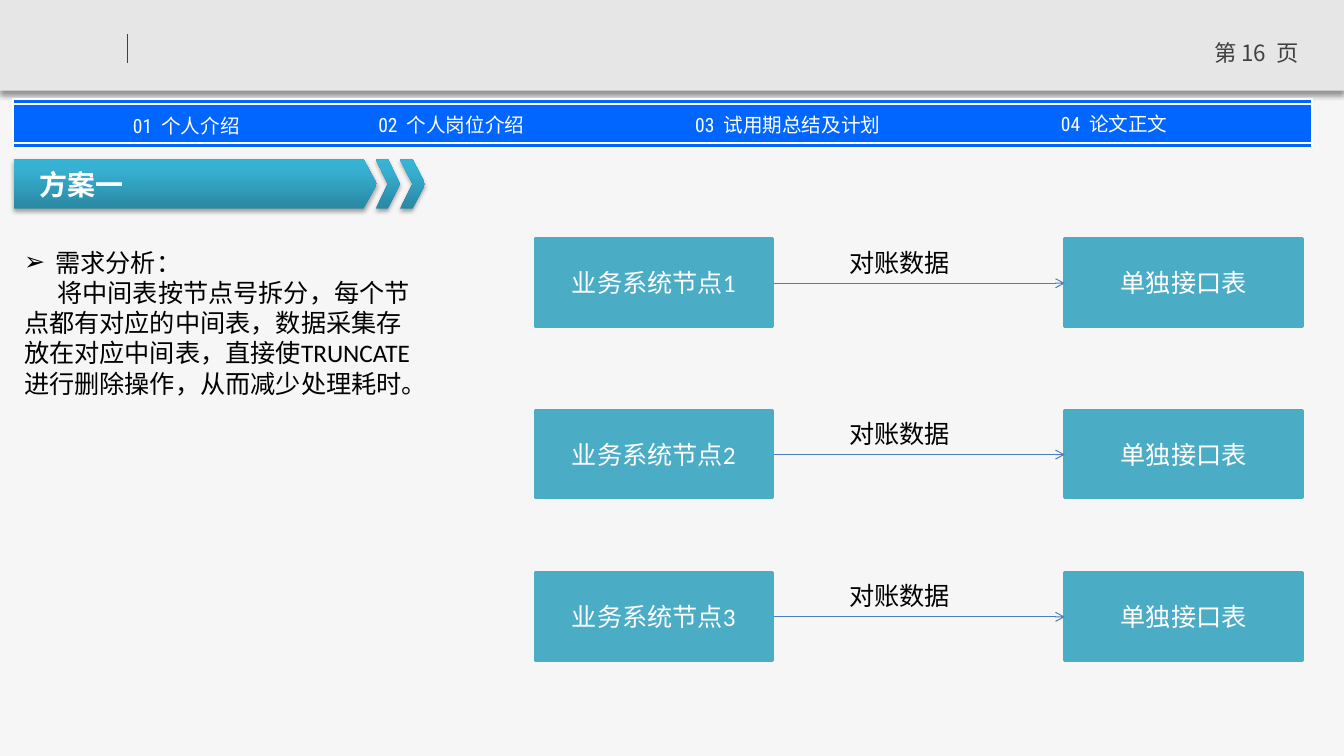
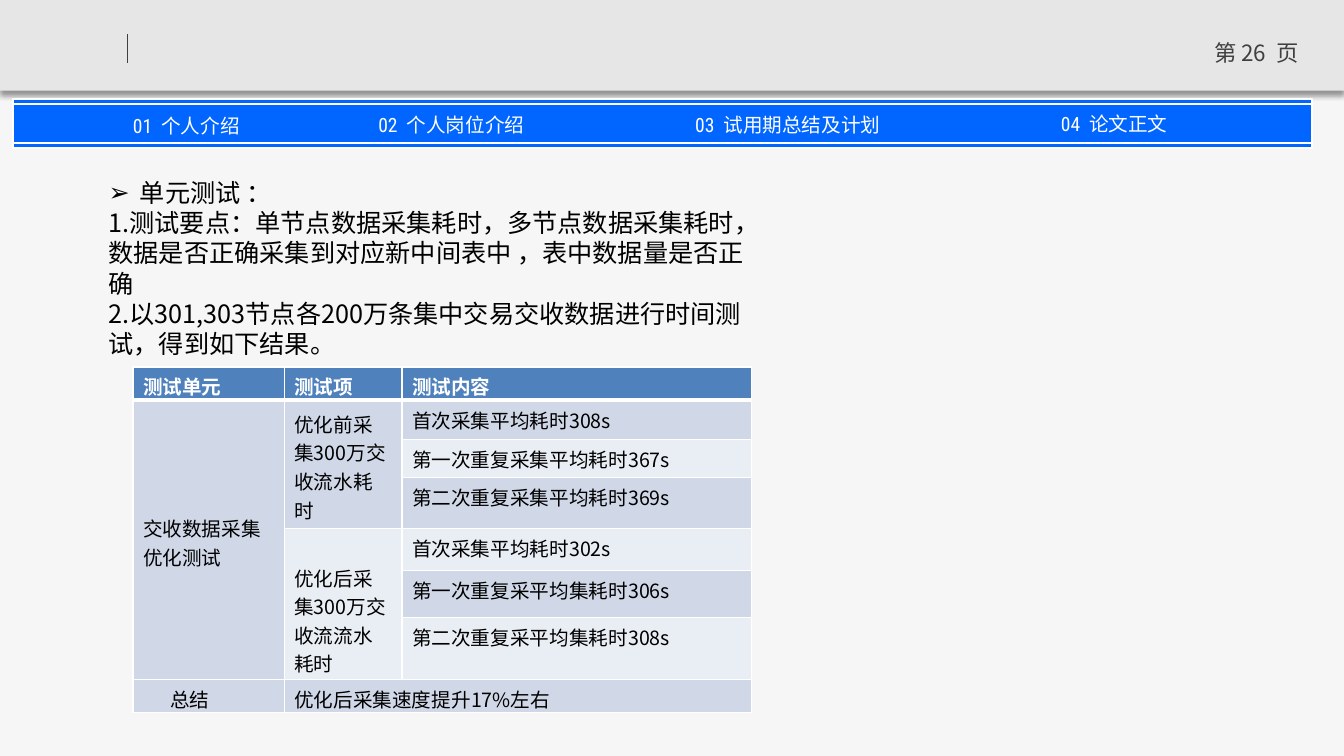
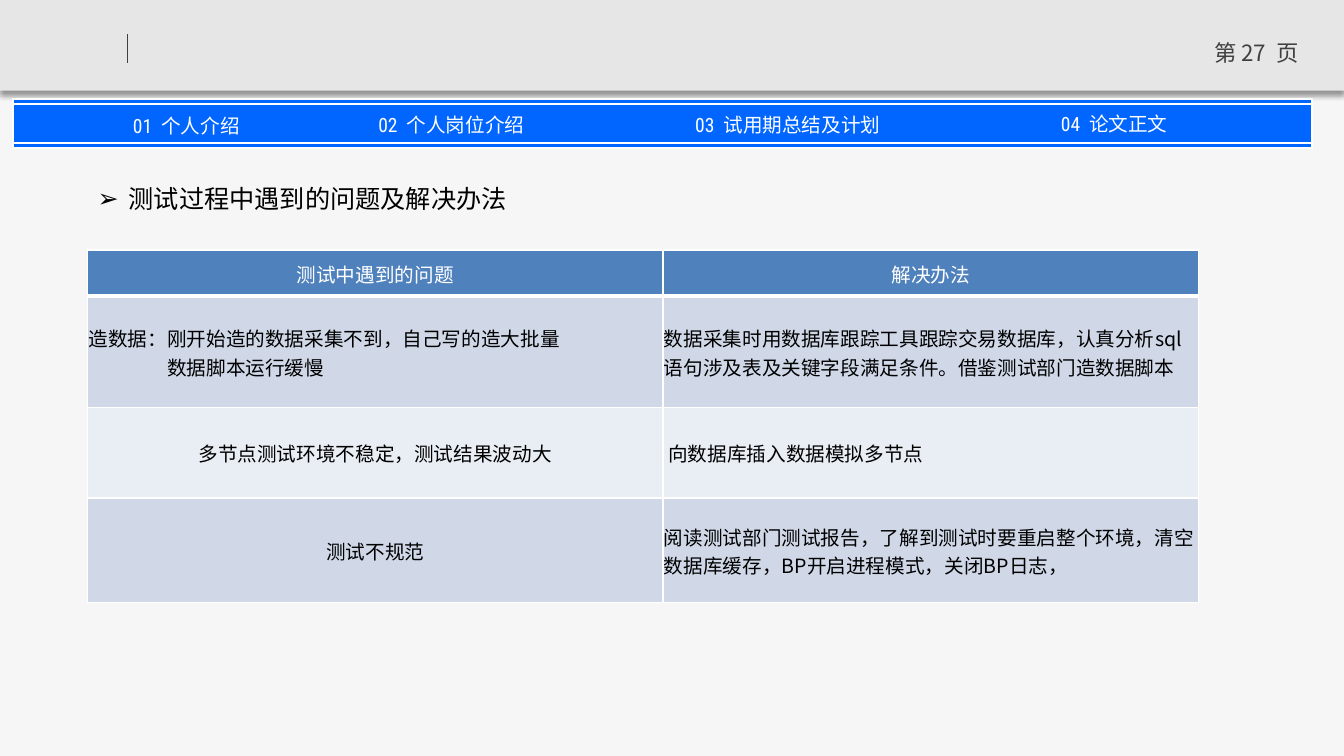
from dataclasses import dataclass
from typing import Any, Optional

from lxml import etree
from pptx import Presentation
from pptx.dml.color import RGBColor
from pptx.enum.shapes import MSO_CONNECTOR, MSO_SHAPE
from pptx.enum.text import MSO_ANCHOR, MSO_AUTO_SIZE, PP_ALIGN
from pptx.oxml.ns import qn
from pptx.util import Emu, Pt

RECT, PLATE, CHEV = MSO_SHAPE.RECTANGLE, MSO_SHAPE.PENTAGON, MSO_SHAPE.CHEVRON
STRAIGHT = MSO_CONNECTOR.STRAIGHT
TOP, MID = MSO_ANCHOR.TOP, MSO_ANCHOR.MIDDLE
LEFT, CENTER = PP_ALIGN.LEFT, PP_ALIGN.CENTER
GROW, FIXED = MSO_AUTO_SIZE.SHAPE_TO_FIT_TEXT, MSO_AUTO_SIZE.NONE
SCALE = 9144  # EMU in one px, 100 px to the inch
Box = tuple[int, int, int, int]


@dataclass(frozen=True)
class Theme:
    page: str = "F6F6F6"
    band: str = "E6E6E6"
    grey: str = "404040"
    blue: str = "0066FF"
    teal: str = "4BACC6"
    arrow: str = "4B7EBC"
    head: str = "4F81BD"
    dark: str = "D0D8E8"
    light: str = "E9EDF4"
    white: str = "FFFFFF"
    black: str = "000000"
    ramp: tuple = ((0, "2A88A2"), (80, "37B1D2"), (100, "34B4D6"))
    sans: str = "Noto Sans CJK SC"
    body: str = "Calibri"
    nav: str = "Roboto Condensed"
    table: str = "Arial"
    small: int = 14
    mid: int = 16
    base: int = 18
    large: int = 20


T = Theme()


@dataclass(frozen=True)
class Style:
    size: int = T.base
    font: str = T.body
    color: str = T.black
    bold: bool = False


@dataclass(frozen=True)
class Para:
    """A paragraph; a tail follows the text after a widened space."""
    text: str
    tail: str = ""
    align: Any = LEFT
    left: int = 0
    first: int = 0
    bullet: bool = False
    font: str = ""


@dataclass(frozen=True)
class Cell:
    row: int
    col: int
    paras: tuple[Para, ...]
    fill: str
    rows: int = 1
    cols: int = 1
    anchor: Any = TOP
    top: Optional[int] = None


@dataclass(frozen=True)
class Grid:
    box: Box
    cols: tuple[int, ...]
    rows: tuple[int, ...]
    pads: Box
    head: Style
    body: Style


@dataclass(frozen=True)
class Shade:
    alpha: int
    blur: float
    dist: float


NAV = (
    (61, 113, "01", "个人介绍"),
    (324, 112, "02", "个人岗位介绍"),
    (658, 112, "03", "试用期总结及计划"),
    (982, 111, "04", "论文正文"),
)
BARS = ((103, 43), (142, 5), (98, 5))
NODES = (237, 407, 568)


def px(n: int) -> Emu:
    return Emu(n * SCALE)


def rgb(code: str) -> RGBColor:
    return RGBColor.from_string(code)


def assign(target: Any, values: dict[str, Any]) -> None:
    for name, value in values.items():
        setattr(target, name, value)


def node(parent: Any, tag: str, **attrs: Any) -> Any:
    return etree.SubElement(parent, qn(tag), {k: str(v) for k, v in attrs.items()})


def tint(parent: Any, code: str) -> Any:
    return node(parent, "a:srgbClr", val=code)


def write(frame: Any, paras: tuple[Para, ...], style: Style, exact: bool = True) -> None:
    """Fill a text frame; exact sets each line to 1.2 times the type size."""
    for i, para in enumerate(paras):
        p = frame.paragraphs[0] if i == 0 else frame.add_paragraph()
        p.alignment = para.align
        if exact:
            p.line_spacing = Pt(style.size * 1.2)
        props = p._p.get_or_add_pPr()
        props.set("marL", str(px(para.left)))
        props.set("indent", str(px(para.first)))
        if para.bullet:
            node(props, "a:buFont", typeface=T.table)
            node(props, "a:buChar", char="➢")
        parts = (para.text, " ", para.tail) if para.tail else (para.text,)
        for part in parts:
            run = p.add_run()
            run.text = part
            assign(run.font, {"name": para.font or style.font,
                              "size": Pt(style.size), "bold": style.bold})
            run.font.color.rgb = rgb(style.color)
            look = run._r.get_or_add_rPr()
            node(look, "a:ea", typeface=T.sans)
            if part == " ":
                look.set("spc", str(style.size * 22))


def label(shapes: Any, box: Box, paras: tuple[Para, ...], style: Style,
          **form: Any) -> None:
    frame = shapes.add_textbox(*map(px, box)).text_frame
    assign(frame, {"word_wrap": True, "auto_size": GROW} | form)
    write(frame, paras, style)


def block(shapes: Any, kind: Any, box: Box, fill: str,
          line: str = "", width: float = 0) -> Any:
    shape = shapes.add_shape(kind, *map(px, box))
    shape.shadow.inherit = False
    shape.fill.solid()
    shape.fill.fore_color.rgb = rgb(fill)
    if line:
        shape.line.color.rgb = rgb(line)
        shape.line.width = Pt(width)
    else:
        shape.line.fill.background()
    return shape


def shade(shape: Any, look: Shade) -> None:
    effects = shape._element.spPr.find(qn("a:effectLst"))
    outer = node(effects, "a:outerShdw", blurRad=Pt(look.blur), dist=Pt(look.dist),
                 dir=5400000, algn="t", rotWithShape=0)
    node(tint(outer, T.black), "a:alpha", val=look.alpha * 1000)


def ramp(shape: Any) -> None:
    """Swap the plain fill for the upward colour ramp."""
    props = shape._element.spPr
    grad = etree.Element(qn("a:gradFill"), {"rotWithShape": "1"})
    stops = node(grad, "a:gsLst")
    for pos, code in T.ramp:
        tint(node(stops, "a:gs", pos=pos * 1000), code)
    node(grad, "a:lin", ang=16200000, scaled=0)
    props.replace(props.find(qn("a:solidFill")), grad)


def link(shapes: Any, box: Box, color: str, arrow: bool = False) -> None:
    """Draw a line; box holds the start and end points."""
    line = shapes.add_connector(STRAIGHT, *map(px, box))
    line.line.color.rgb = rgb(color)
    line.line.width = Pt(0.75)
    if arrow:
        node(line.line._get_or_add_ln(), "a:tailEnd", type="arrow")
    node(line._element.spPr, "a:effectLst")


def edge(cell: Any, row: int) -> None:
    """Set white borders, with a thick rule under the head row."""
    props = cell._tc.get_or_add_tcPr()
    widths = {"L": 1, "R": 1, "T": 3 if row == 1 else 1, "B": 3 if row == 0 else 1}
    for i, (side, width) in enumerate(widths.items()):
        line = etree.Element(qn(f"a:ln{side}"), {"w": str(Pt(width))})
        tint(node(line, "a:solidFill"), T.white)
        props.insert(i, line)


def table(shapes: Any, grid: Grid, cells: list[Cell]) -> None:
    tab = shapes.add_table(len(grid.rows), len(grid.cols), *map(px, grid.box)).table
    tab.horz_banding = False
    for col, width in zip(tab.columns, grid.cols):
        col.width = px(width)
    for row, height in zip(tab.rows, grid.rows):
        row.height = px(height)
    sides = ("margin_left", "margin_top", "margin_right", "margin_bottom")
    for item in cells:
        first = tab.cell(item.row, item.col)
        for r in range(item.row, item.row + item.rows):
            for c in range(item.col, item.col + item.cols):
                cell = tab.cell(r, c)
                cell.fill.solid()
                cell.fill.fore_color.rgb = rgb(item.fill)
                edge(cell, r)
        if item.rows * item.cols > 1:
            first.merge(tab.cell(item.row + item.rows - 1, item.col + item.cols - 1))
        assign(first, dict(zip(sides, map(px, grid.pads))))
        first.vertical_anchor = item.anchor
        if item.top is not None:
            first.margin_top = px(item.top)
        write(first.text_frame, item.paras,
              grid.head if item.row == 0 else grid.body, exact=False)


def start(deck: Any, page: int) -> Any:
    """Add a slide with the shared top band, page number and menu."""
    slide = deck.slides.add_slide(deck.slide_layouts[6])
    slide.background.fill.solid()
    slide.background.fill.fore_color.rgb = rgb(T.page)
    shapes = slide.shapes
    shade(block(shapes, RECT, (0, 0, 1334, 90), T.band), Shade(40, 4, 3))
    link(shapes, (127, 34, 127, 63), T.grey)
    label(shapes, (1187, 34, 120, 40), (Para(f"第 {page}", "页", CENTER),),
          Style(T.mid, T.sans, T.grey), auto_size=FIXED)
    for y, height in BARS:
        block(shapes, RECT, (13, y, 1289, height), T.blue, T.white, 1.5)
    flat = dict.fromkeys(("margin_left", "margin_top", "margin_right", "margin_bottom"), 0)
    for x, y, num, name in NAV:
        label(shapes, (x, y, 248, 24), (Para(num, name, CENTER),),
              Style(T.small, T.nav, T.white), vertical_anchor=MID, **flat)
    return shapes


def point(text: str) -> Para:
    return Para(text, left=31, first=-31, bullet=True)


def tile(shapes: Any, x: int, y: int, text: str) -> None:
    shape = block(shapes, RECT, (x, y, 236, 87), T.teal, T.teal, 2)
    assign(shape.text_frame, {"word_wrap": True, "vertical_anchor": MID})
    write(shape.text_frame, (Para(text, align=CENTER),), Style(color=T.white))


def plan(deck: Any) -> None:
    shapes = start(deck, 16)
    label(shapes, (14, 240, 408, 161), (
        point("需求分析："),
        Para("将中间表按节点号拆分，每个节点都有对应的中间表，数据采集存放在对应中间表，"
             "直接使TRUNCATE进行删除操作，从而减少处理耗时。", first=33),
    ), Style())
    for i, y in enumerate(NODES, 1):
        group = shapes.add_group_shape().shapes
        tile(group, 531, y, f"业务系统节点{i}")
        tile(group, 1057, y, "单独接口表")
        link(group, (768, y + 44, 1057, y + 44), T.arrow, True)
        label(group, (833, y + 3, 158, 40), (Para("对账数据"),), Style())
    for kind, x, width in ((PLATE, 14, 360), (CHEV, 373, 24), (CHEV, 397, 25)):
        shape = block(shapes, kind, (x, 158, width, 49), T.teal)
        if kind == PLATE:
            shape.adjustments[0] = 0.27
        ramp(shape)
        shade(shape, Shade(35, 3.1, 1.8))
    label(shapes, (29, 161, 328, 44), (Para("方案一"),),
          Style(T.large, T.sans, T.white, True))


def test(deck: Any) -> None:
    shapes = start(deck, 26)
    label(shapes, (98, 171, 660, 252), (
        point("单元测试 ："),
        Para("1.测试要点：单节点数据采集耗时，多节点数据采集耗时，数据是否正确采集到对应"
             "新中间表中 ，表中数据量是否正确", font=T.sans),
        Para("2.以301,303节点各200万条集中交易交收数据进行时间测试，得到如下结果。",
             font=T.sans),
    ), Style())
    heads = ("测试单元", "测试项", "测试内容")
    times = ("首次采集平均耗时308s", "第一次重复采集平均耗时367s",
             "第二次重复采集平均耗时369s", "首次采集平均耗时302s",
             "第一次重复采平均集耗时306s", "第二次重复采平均集耗时308s")
    cells = [Cell(0, c, (Para(text),), T.head) for c, text in enumerate(heads)]
    cells += [Cell(r, 2, (Para(text),), T.dark if r % 2 else T.light)
              for r, text in enumerate(times, 1)]
    cells += [
        Cell(1, 0, (Para("交收数据采集优化测试"),), T.dark, rows=6, anchor=MID),
        Cell(1, 1, (Para("优化前采集300万交收流水耗时"),), T.dark, rows=3, anchor=MID),
        Cell(4, 1, (Para("优化后采集300万交收流流水耗时"),), T.light, rows=3,
             anchor=MID, top=33),
        Cell(7, 0, (Para("总结", left=27),), T.dark, anchor=MID),
        Cell(7, 1, (Para("优化后采集速度提升17%左右"),), T.dark, cols=2),
    ]
    table(shapes, Grid((132, 364, 614, 343), (150, 117, 347),
                       (33, 39, 38, 50, 42, 47, 61, 33), (10, 5, 10, 0),
                       Style(T.small, T.sans, T.white, True),
                       Style(T.small, T.sans)), cells)


def issues(deck: Any) -> None:
    shapes = start(deck, 27)
    rows = (
        ((Para("测试中遇到的问题", align=CENTER),),
         (Para("解决办法", align=CENTER),)),
        ((Para("造数据：刚开始造的数据采集不到，自己写的造大批量", font=T.body),
          Para("数据脚本运行缓慢", left=78, font=T.body)),
         (Para("数据采集时用数据库跟踪工具跟踪交易数据库，认真分析sql语句涉及表及"
               "关键字段满足条件。借鉴测试部门造数据脚本"),)),
        ((Para("多节点测试环境不稳定，测试结果波动大", align=CENTER, font=T.body),),
         (Para(" 向数据库插入数据模拟多节点"),)),
        ((Para("测试不规范", align=CENTER),),
         (Para("阅读测试部门测试报告，了解到测试时要重启整个环境，清空数据库缓存，"
               "BP开启进程模式，关闭BP日志，"),)),
    )
    fills = (T.head, T.dark, T.light, T.dark)
    cells = [Cell(r, c, paras, fills[r], anchor=MID)
             for r, row in enumerate(rows) for c, paras in enumerate(row)]
    table(shapes, Grid((87, 248, 1103, 350), (571, 532), (46, 110, 90, 104),
                       (1, 1, 1, 0), Style(T.small, T.table, T.white),
                       Style(T.small, T.sans)), cells)
    label(shapes, (87, 177, 432, 40), (point("测试过程中遇到的问题及解决办法"),),
          Style(), word_wrap=False)


def main() -> None:
    deck = Presentation()
    assign(deck, {"slide_width": px(1334), "slide_height": px(750)})
    for build in (plan, test, issues):
        build(deck)
    deck.save("out.pptx")


if __name__ == "__main__":
    main()
